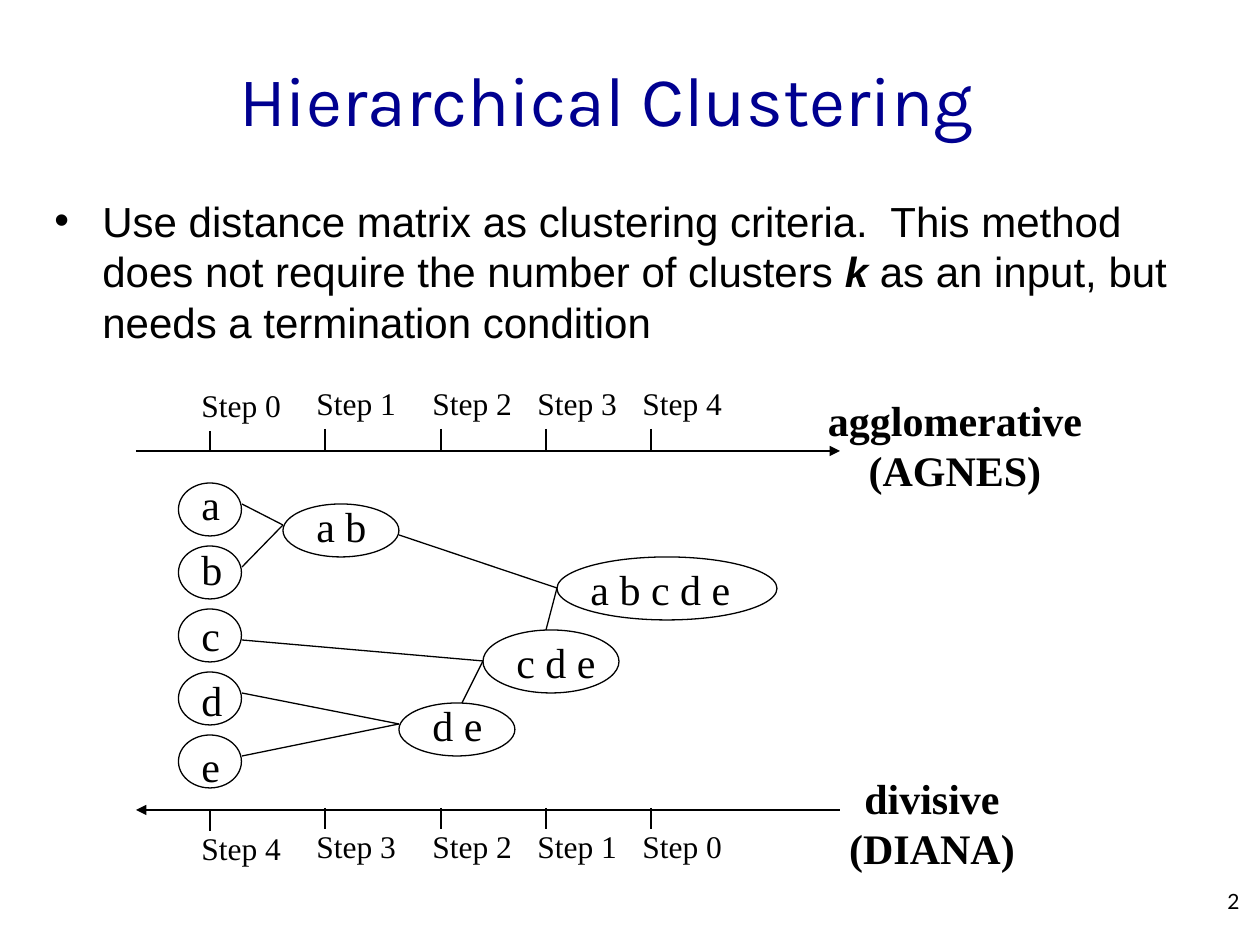
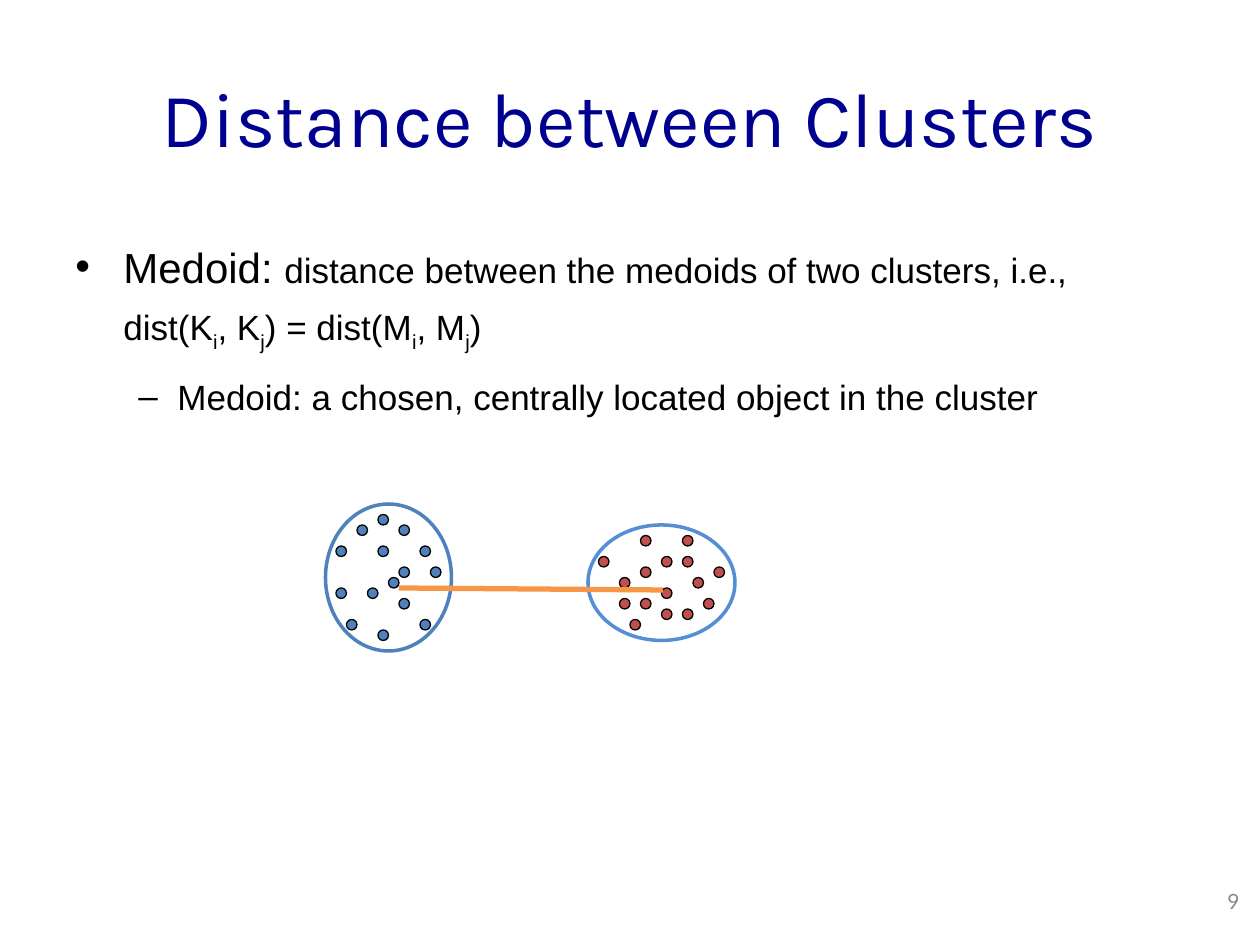
import pptx
import pptx.util
import pptx.dml.color
import pptx.enum.shapes
import pptx.enum.text
import pptx.oxml.ns
import lxml.etree

PX = 914400 / 126
GRID = 21 / 2
SLIDE = (1260, 945)

COLORS = {
    "title": "000090", "ink": "000000", "muted": "898989", "paper": "FFFFFF",
    "blue": "4F81BD", "sky": "558ED5", "red": "C0504D", "orange": "F79646",
}
ALIGN = pptx.enum.text.PP_ALIGN
ANCHOR = pptx.enum.text.MSO_ANCHOR
OVAL = pptx.enum.shapes.MSO_SHAPE.OVAL
STRAIGHT = pptx.enum.shapes.MSO_CONNECTOR.STRAIGHT

BODY = {"name": "Arial", "size": 24}
DETAIL = {"name": "Arial", "size": 20}
SUB = {**DETAIL, "baseline": -25}
STEP = {"name": "Times New Roman", "size": 18}
NODE = {"name": "Times New Roman", "size": 24}
CAPTION = {**NODE, "bold": True}
PAGE_BOX = (958, 876, 294, 50)

CRITERIA = [{
    "runs": [
        ("Use distance matrix as clustering criteria.  This method does not require "
         "the number of clusters ", BODY),
        ("k", {**BODY, "bold": True, "italic": True}),
        (" as an input, but needs a termination condition", BODY),
    ],
    "bullet": ("•", 48, -48), "format": {"space_before": pptx.util.Pt(15)},
}]

STEP_XS = [210, 325, 441, 546, 651]
STEP_AXES = [
    {"y": 451, "ends": (136, 840), "tick": 429, "label": 378, "steps": [0, 1, 2, 3, 4]},
    {"y": 810, "ends": (840, 136), "tick": 808, "label": 821, "steps": [4, 3, 2, 1, 0]},
]
METHODS = [
    ((805, 388, 300, 113), ["agglomerative", "(AGNES)"]),
    ((782, 766, 300, 113), ["divisive", "(DIANA)"]),
]
OBJECTS = "abcde"
MERGED = [
    ("a b", (283, 504, 116, 53), -10),
    ("d e", (399, 703, 116, 53), -10),
    ("c d e", (483, 630, 136, 63), 0),
    ("a b c d e", (557, 557, 220, 63), 0),
]
EDGES = [
    ((242, 504), (283, 525)), ((242, 567), (283, 525)),
    ((242, 693), (399, 724)), ((242, 756), (399, 724)),
    ((242, 640), (483, 661)), ((462, 703), (483, 661)),
    ((399, 535), (557, 588)), ((546, 630), (557, 588)),
]

RELAXED = {"line_spacing": 1.3, "space_before": pptx.util.Pt(5)}
MEDOID_TEXT = [
    {
        "runs": [
            ("Medoid: ", BODY),
            ("distance between the medoids of two clusters, i.e.,  dist(K", DETAIL),
            ("i", SUB), (", K", DETAIL), ("j", SUB), (") = dist(M", DETAIL),
            ("i", SUB), (", M", DETAIL), ("j", SUB), (")", DETAIL),
        ],
        "bullet": ("•", 48, -48), "format": RELAXED,
    },
    {
        "runs": [("Medoid: a chosen, centrally located object in the cluster", DETAIL)],
        "bullet": ("–", 102, -39), "format": {**RELAXED, "level": 1},
    },
]
CLUSTERS = [
    {
        "outline": (31, 48, 12, 14), "line": "blue", "fill": "blue",
        "dots": [(34, 50), (36, 52), (38, 57), (41, 54), (32, 56), (32, 52), (38, 50),
                 (40, 52), (35, 56), (38, 54), (36, 60), (36, 49), (33, 59), (40, 59)],
    },
    {
        "outline": (56, 50, 14, 11), "line": "sky", "fill": "red",
        "dots": [(61, 54), (63, 58), (65, 53), (63, 56), (65, 51), (59, 57), (61, 51),
                 (57, 53), (63, 53), (59, 55), (61, 57), (65, 58), (67, 57), (68, 54),
                 (66, 55), (60, 59)],
    },
]
MEDOID = (37, 55)
MEDOID_LINK = ((399, 588), (663, 590))


def emu(*lengths):
    return [round(v * PX) for v in lengths]


def rgb(key):
    return pptx.dml.color.RGBColor.from_string(COLORS[key])


def set_all(target, values):
    for name, value in values.items():
        setattr(target, name, value)


def add_run(p, text, style, color):
    r = p.add_run()
    r.text = text
    values = dict(style, size=pptx.util.Pt(style["size"]))
    baseline = values.pop("baseline", None)
    set_all(r.font, values)
    r.font.color.rgb = rgb(color)
    if baseline:
        r.font._element.set("baseline", str(baseline * 1000))


def add_bullet(p, char, margin, indent):
    pPr = p._p.get_or_add_pPr()
    pPr.set("marL", str(emu(margin)[0]))
    pPr.set("indent", str(emu(indent)[0]))
    qn = pptx.oxml.ns.qn
    buClr = lxml.etree.SubElement(pPr, qn("a:buClr"))
    lxml.etree.SubElement(buClr, qn("a:srgbClr"), val=COLORS["ink"])
    lxml.etree.SubElement(pPr, qn("a:buFont"), typeface="Arial")
    lxml.etree.SubElement(pPr, qn("a:buChar"), char=char)


def add_text(s, box, paragraphs, color="ink", anchor=ANCHOR.TOP):
    tf = s.shapes.add_textbox(*emu(*box)).text_frame
    set_all(tf, {"word_wrap": True, "vertical_anchor": anchor})
    for i, item in enumerate(paragraphs):
        p = tf.paragraphs[0] if i == 0 else tf.add_paragraph()
        set_all(p, item.get("format", {}))
        if "bullet" in item:
            add_bullet(p, *item["bullet"])
        for text, style in item["runs"]:
            add_run(p, text, style, color)


def add_label(s, box, text, style, **fmt):
    add_text(s, box, [{"runs": [(text, style)], "format": fmt}])


def add_line(s, start, end, color="ink", width=0.75, arrow=False):
    c = s.shapes.add_connector(STRAIGHT, *emu(*start, *end))
    c.line.color.rgb = rgb(color)
    c.line.width = pptx.util.Pt(width)
    qn = pptx.oxml.ns.qn
    if arrow:
        lxml.etree.SubElement(c.line._get_or_add_ln(), qn("a:tailEnd"), type="triangle")
    lxml.etree.SubElement(c._element.spPr, qn("a:effectLst"))


def add_oval(s, box, fill=None, line="ink", width=0.75):
    sp = s.shapes.add_shape(OVAL, *emu(*box))
    sp.shadow.inherit = False
    if fill:
        sp.fill.solid()
        sp.fill.fore_color.rgb = rgb(fill)
    else:
        sp.fill.background()
    sp.line.color.rgb = rgb(line)
    sp.line.width = pptx.util.Pt(width)


def add_dot(s, cell, fill):
    add_oval(s, [v * GRID for v in (*cell, 1, 1)], fill)


def add_slide(prs, title, box, size, number, number_color):
    s = prs.slides.add_slide(prs.slide_layouts[5])
    sp = s.shapes.title
    set_all(sp, dict(zip(("left", "top", "width", "height"), emu(*box))))
    tf = sp.text_frame
    set_all(tf, {"word_wrap": True, "vertical_anchor": ANCHOR.MIDDLE,
                 "auto_size": pptx.enum.text.MSO_AUTO_SIZE.NONE})
    p = tf.paragraphs[0]
    p.alignment = ALIGN.CENTER
    add_run(p, title, {"name": "Karla", "size": size}, "title")
    page = {"runs": [(number, {"name": "Lato", "size": 12})],
            "format": {"alignment": ALIGN.RIGHT}}
    add_text(s, PAGE_BOX, [page], number_color, ANCHOR.MIDDLE)
    return s


def build_hierarchical(prs):
    s = add_slide(prs, "Hierarchical Clustering", (103, 68, 1006, 60), 40, "2", "ink")
    add_text(s, (42, 189, 1144, 168), CRITERIA)
    for axis in STEP_AXES:
        start, end = axis["ends"]
        add_line(s, (start, axis["y"]), (end, axis["y"]), width=1.5, arrow=True)
        for i, (x, step) in enumerate(zip(STEP_XS, axis["steps"])):
            drop = 2 if i == 0 else 0
            top = axis["tick"] + drop
            add_line(s, (x, top), (x, top + 21))
            add_label(s, (x - 21, axis["label"] + drop, 105, 50), f"Step {step}", STEP,
                      space_before=pptx.util.Pt(11.2))
    for i, name in enumerate(OBJECTS):
        add_label(s, (189, 472 + 65.5 * i, 63, 63), name, NODE)
        add_oval(s, (178.5, 483 + 63 * i, 63, 53))
    for name, (x, y, w, h), shift in MERGED:
        add_label(s, (x + 21, y + shift, w, 63), name, NODE)
        add_oval(s, (x, y, w, h))
    for start, end in EDGES:
        add_line(s, start, end)
    for box, lines in METHODS:
        add_text(s, box, [{"runs": [(line, CAPTION)], "format": {"alignment": ALIGN.CENTER}}
                          for line in lines])


def build_distance(prs):
    s = add_slide(prs, "Distance between Clusters", (63, 38, 1134, 157), 44, "9", "muted")
    add_text(s, (63, 220, 1134, 624), MEDOID_TEXT)
    for cluster in CLUSTERS:
        outline = [v * GRID for v in cluster["outline"]]
        add_oval(s, outline, "paper", cluster["line"], 2)
        for cell in cluster["dots"]:
            add_dot(s, cell, cluster["fill"])
    add_line(s, *MEDOID_LINK, color="orange", width=3)
    add_dot(s, MEDOID, "blue")


def main():
    prs = pptx.Presentation()
    prs.slide_width, prs.slide_height = emu(*SLIDE)
    build_hierarchical(prs)
    build_distance(prs)
    prs.save("out.pptx")


if __name__ == "__main__":
    main()
